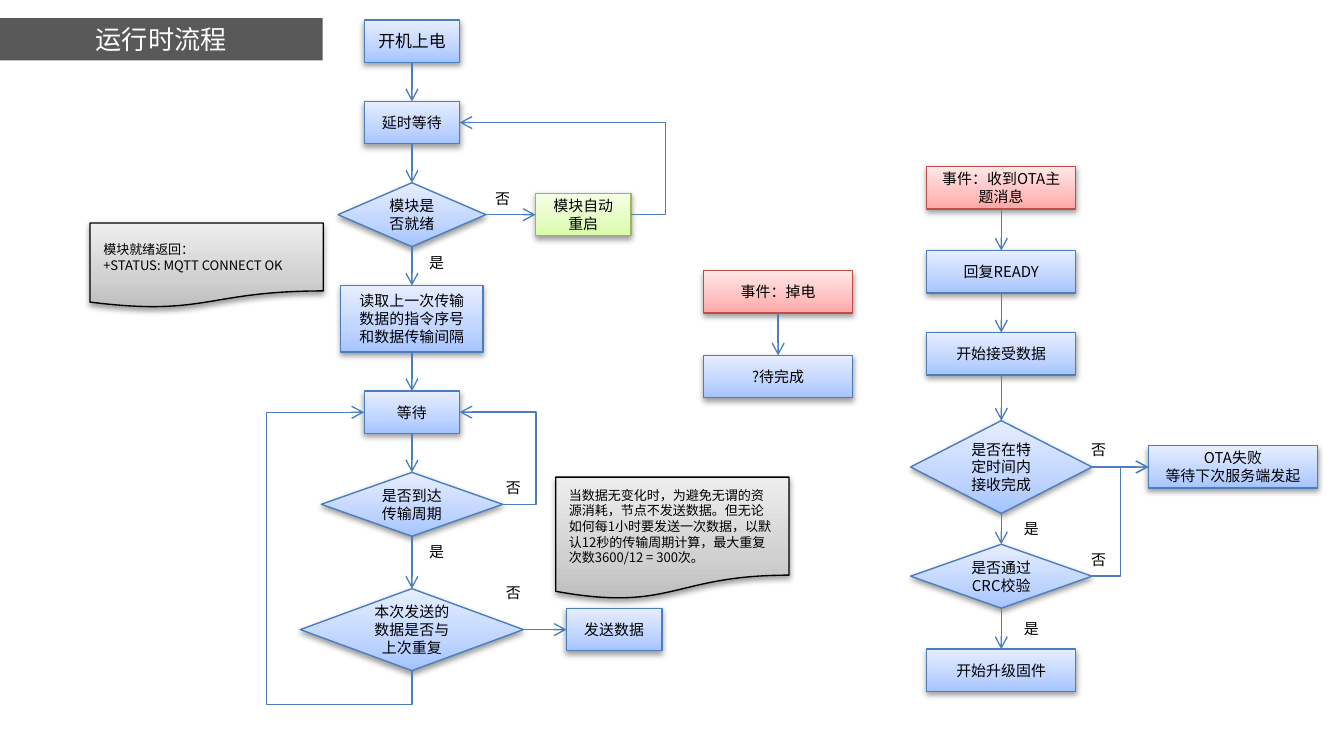
from lxml import etree
from pptx import Presentation
from pptx import util as u
from pptx.dml.color import RGBColor
from pptx.enum import shapes, text
from pptx.oxml import ns

# Grid: 100 columns across the slide, square rows
SLIDE_W, SLIDE_H = u.Inches(10), u.Inches(5.625)
CELL = SLIDE_W // 100
FONT = "Noto Sans CJK SC"
BOX, CHOICE, NOTE = (shapes.MSO_SHAPE.RECTANGLE, shapes.MSO_SHAPE.FLOWCHART_DECISION,
                     shapes.MSO_SHAPE.FLOWCHART_DOCUMENT)
TOP, LEFT, BOTTOM, RIGHT = range(4)  # connection sites
ROW_H, CHOICE_H = 3.15, 4.75

# Outline, then gradient stops from bottom to top
BLUE = ("4B7EBC", "A4C4FF", "BFD4FF", "E6EEFF")
RED = ("BF4C48", "FFA6A5", "FFC0BF", "FFE7E7")
GREEN = ("98B955", "DAFDA7", "E4FCC2", "F5FFE7")
GRAY = ("000000", "BDBDBD", "D1D1D1", "EEEEEE")


def color(value):
    return RGBColor.from_string(value)


def grid(*cells):
    return [u.Emu(round(cell * CELL)) for cell in cells]


def add(parent, tag, **attributes):
    child = etree.SubElement(parent, ns.qn(tag))
    for key, value in attributes.items():
        child.set(key, str(value))
    return child


def write(frame, words, size, align=None, font=FONT, ink="000000"):
    for i, line in enumerate(words.split("\n")):
        paragraph = frame.add_paragraph() if i else frame.paragraphs[0]
        paragraph.alignment = align
        run = paragraph.add_run()
        run.text = line
        run.font.size, run.font.name = u.Pt(size), font
        run.font.color.rgb = color(ink)
        add(run.font._element, "a:ea", typeface=FONT)


def shade(node, stops):
    """Three-stop vertical gradient and a soft shadow below."""
    node.fill.gradient()
    node.fill.gradient_angle = 90
    stop_list = node._element.spPr.find(ns.qn("a:gradFill")).find(ns.qn("a:gsLst"))
    for old in list(stop_list):
        stop_list.remove(old)
    for share, value in zip((0, 35, 100), stops):
        add(add(stop_list, "a:gs", pos=share * 1000), "a:srgbClr", val=value)
    node.shadow.inherit = False
    effects = node._element.spPr.find(ns.qn("a:effectLst"))
    shadow = add(effects, "a:outerShdw", blurRad=40000, dist=20000, dir=5400000, rotWithShape=0)
    add(add(shadow, "a:srgbClr", val="000000"), "a:alpha", val=38000)


def add_node(slide, box, words, kind=BOX, palette=BLUE, size=8):
    node = slide.shapes.add_shape(kind, *grid(*box))
    shade(node, palette[1:])
    node.line.color.rgb, node.line.width = color(palette[0]), u.Pt(0.75)
    node.text_frame.word_wrap = True
    node.text_frame.vertical_anchor = text.MSO_ANCHOR.MIDDLE
    write(node.text_frame, words, size,
          text.PP_ALIGN.LEFT if kind == NOTE else text.PP_ALIGN.CENTER)
    return node


def beside(slide, source, gap, width, words, palette=BLUE):
    """Node to the right of another, on the same middle line, with its arrow."""
    left = (source.left + source.width) / CELL + gap
    top = (source.top + source.height / 2) / CELL - ROW_H / 2
    node = add_node(slide, (left, top, width, ROW_H), words, palette=palette)
    link(slide, source, RIGHT, node, LEFT)
    return node


def site(node, side):
    x = {LEFT: 0, RIGHT: node.width}.get(side, node.width // 2)
    y = {TOP: 0, BOTTOM: node.height}.get(side, node.height // 2)
    return node.left + x, node.top + y


def link(slide, source, start, target, end, bends=None):
    kind = shapes.MSO_CONNECTOR.STRAIGHT if bends is None else shapes.MSO_CONNECTOR.ELBOW
    wire = slide.shapes.add_connector(kind, *site(source, start), *site(target, end))
    wire.begin_connect(source, start)
    wire.end_connect(target, end)
    wire.line.color.rgb, wire.line.width = color(BLUE[0]), u.Pt(0.75)
    add(wire.line._get_or_add_ln(), "a:tailEnd", type="arrow")
    properties = wire._element.spPr
    add(properties, "a:effectLst")
    if bends:
        guides = properties.find(ns.qn("a:prstGeom")).get_or_add_avLst()
        for i, bend in enumerate(bends, 1):
            name = "adj1" if len(bends) == 1 else f"adj{i}"
            add(guides, "a:gd", name=name, fmla=f"val {round(bend * 100000)}")
    return wire


def loop_back(slide, source, target):
    """Four-part elbow from below the source round to the target's left side."""
    wire = link(slide, source, BOTTOM, target, LEFT, (-0.13, 3.04))
    (x1, y1), (x2, y2) = site(source, BOTTOM), site(target, LEFT)
    length, depth = y1 - y2, x1 - x2
    wire.left, wire.top = (x1 + x2 - length) // 2, (y1 + y2 - depth) // 2
    wire.width, wire.height = length, depth
    frame = wire._element.spPr.find(ns.qn("a:xfrm"))
    for key, value in (("rot", "5400000"), ("flipH", "1"), ("flipV", "0")):
        frame.set(key, value)
    wire._element.spPr.find(ns.qn("a:prstGeom")).set("prst", "bentConnector4")


def answer(slide, choice, words, dx, dy):
    """Label offset from the middle of a decision's top edge."""
    x, y = site(choice, TOP)
    label = slide.shapes.add_textbox(*grid(x / CELL + dx, y / CELL + dy, 3.1, 2.4))
    label.text_frame.word_wrap = False
    write(label.text_frame, words, 8)


def stack(slide, box, steps):
    """Centred column of linked steps: words, width, height, gap above, style."""
    left, top, width = box
    nodes = []
    for words, step_w, step_h, gap, style in steps:
        top += gap
        place = (left + (width - step_w) / 2, top, step_w, step_h)
        nodes.append(add_node(slide, place, words, **style))
        top += step_h
    for upper, lower in zip(nodes, nodes[1:]):
        link(slide, upper, BOTTOM, lower, TOP)
    return nodes


def add_title(slide, box, words):
    title = slide.shapes.title
    title.left, title.top, title.width, title.height = grid(*box)
    title.fill.solid()
    title.fill.fore_color.rgb = color("595959")
    title.text_frame.auto_size = text.MSO_AUTO_SIZE.NONE
    title.text_frame.vertical_anchor = text.MSO_ANCHOR.MIDDLE
    write(title.text_frame, words, 14, text.PP_ALIGN.CENTER, "Calibri", "FFFFFF")


def runtime_flow(slide, box):
    choice = {"kind": CHOICE}
    _, delay, ready, _, wait, period, repeat = stack(slide, box, [
        ("开机上电", 7.1, ROW_H, 0, {"size": 9}),
        ("延时等待", 7.1, ROW_H, 2.9, {}),
        ("模块是否就绪", 11, CHOICE_H, 2.9, choice),
        ("读取上一次传输数据的指令序号和数据传输间隔", 10.6, 4.95, 2.9, {}),
        ("等待", 7.1, ROW_H, 2.9, {}),
        ("是否到达传输周期", 13.5, CHOICE_H, 2.9, choice),
        ("本次发送的数据是否与上次重复", 16.6, 6.1, 3.9, choice)])
    restart = beside(slide, ready, 3.7, 7.1, "模块自动重启", GREEN)
    beside(slide, repeat, 3.2, 7.1, "发送数据")
    link(slide, restart, RIGHT, delay, RIGHT, (-0.2,))
    link(slide, period, RIGHT, wait, RIGHT, (-0.78,))
    loop_back(slide, repeat, wait)
    for item in (ready, period):
        answer(slide, item, "是", 0.3, CHOICE_H)
    for item, dx, dy in ((ready, 5.2, 0), (period, 6, 0), (repeat, 6, -0.9)):
        answer(slide, item, "否", dx, dy)


def power_loss_flow(slide, box):
    stack(slide, box, [("事件：掉电", 11.1, ROW_H, 0, {"palette": RED}),
                       ("?待完成", 11.1, ROW_H, 3.15, {})])


def update_flow(slide, box):
    choice = {"kind": CHOICE}
    *_, received, checked, _ = stack(slide, box, [
        ("事件：收到OTA主题消息", 11.1, ROW_H, 0, {"palette": RED}),
        ("回复READY", 11.1, ROW_H, 3.1, {}),
        ("开始接受数据", 11.1, ROW_H, 2.95, {}),
        ("是否在特定时间内接收完成", 13.5, 6.9, 3.4, choice),
        ("是否通过CRC校验", 13.5, CHOICE_H, 2.3, choice),
        ("开始升级固件", 11.1, ROW_H, 3.05, {})])
    failed = beside(slide, received, 4.2, 12.6, "OTA失败\n等待下次服务端发起")
    link(slide, checked, RIGHT, failed, LEFT, (0.5,))
    for item, words, dx, dy in ((received, "否", 5.7, 1), (checked, "否", 5.7, 0),
                                (received, "是", 0.7, 6.9), (checked, "是", 0.7, 5.1)):
        answer(slide, item, words, dx, dy)


def main():
    deck = Presentation()
    deck.slide_width, deck.slide_height = SLIDE_W, SLIDE_H
    slide = deck.slides.add_slide(deck.slide_layouts[5])
    add_title(slide, (0, 1.35, 24, 3.15), "运行时流程")
    # Flows: left, top, width
    runtime_flow(slide, (22.35, 1.5, 16.6))
    power_loss_flow(slide, (52.35, 20.15, 11.1))
    update_flow(slide, (67.75, 12.4, 13.5))
    # Notes
    add_node(slide, (6.7, 16.6, 17.35, 6.3), "模块就绪返回：\n+STATUS: MQTT CONNECT OK",
             NOTE, GRAY, 7)
    add_node(slide, (41.35, 35.5, 17.35, 9.1),
             "当数据无变化时，为避免无谓的资源消耗，节点不发送数据。但无论如何每1小时要发送一次数据，"
             "以默认12秒的传输周期计算，最大重复次数3600/12 = 300次。", NOTE, GRAY, 7)
    deck.save("out.pptx")


if __name__ == "__main__":
    main()
